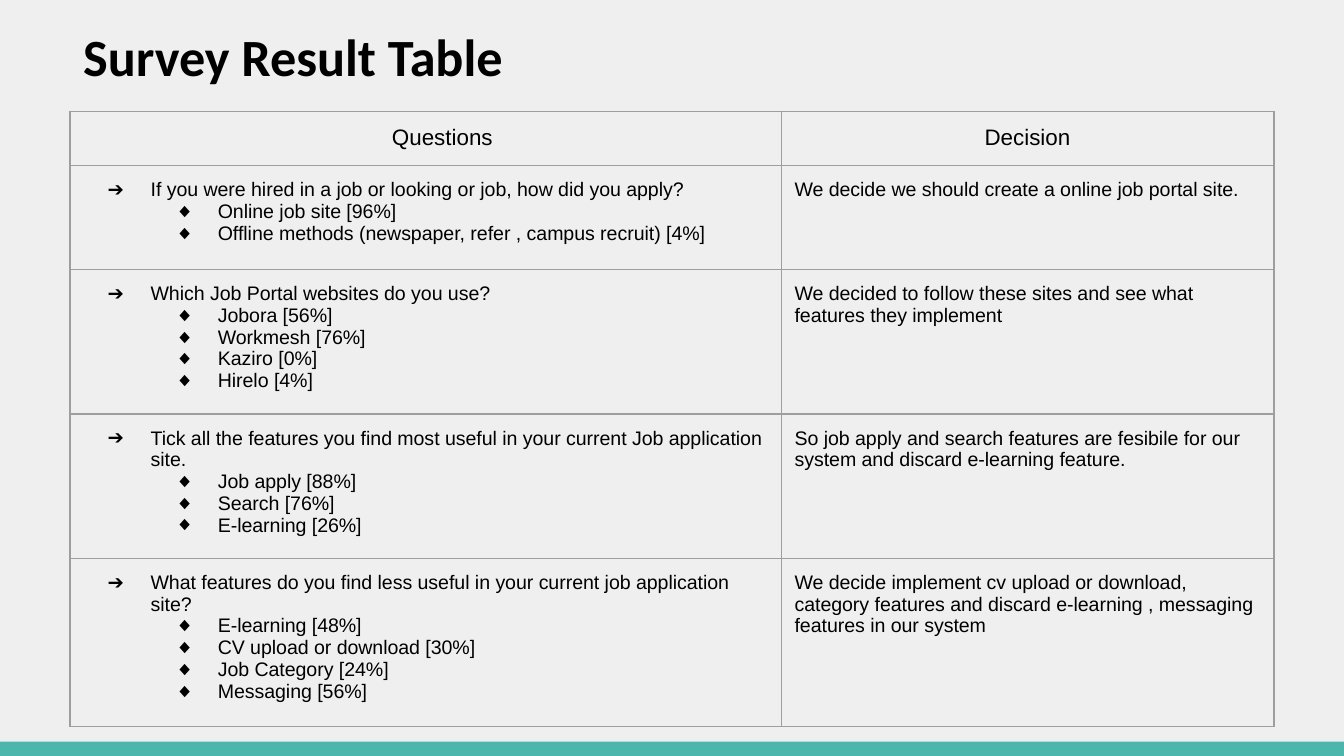
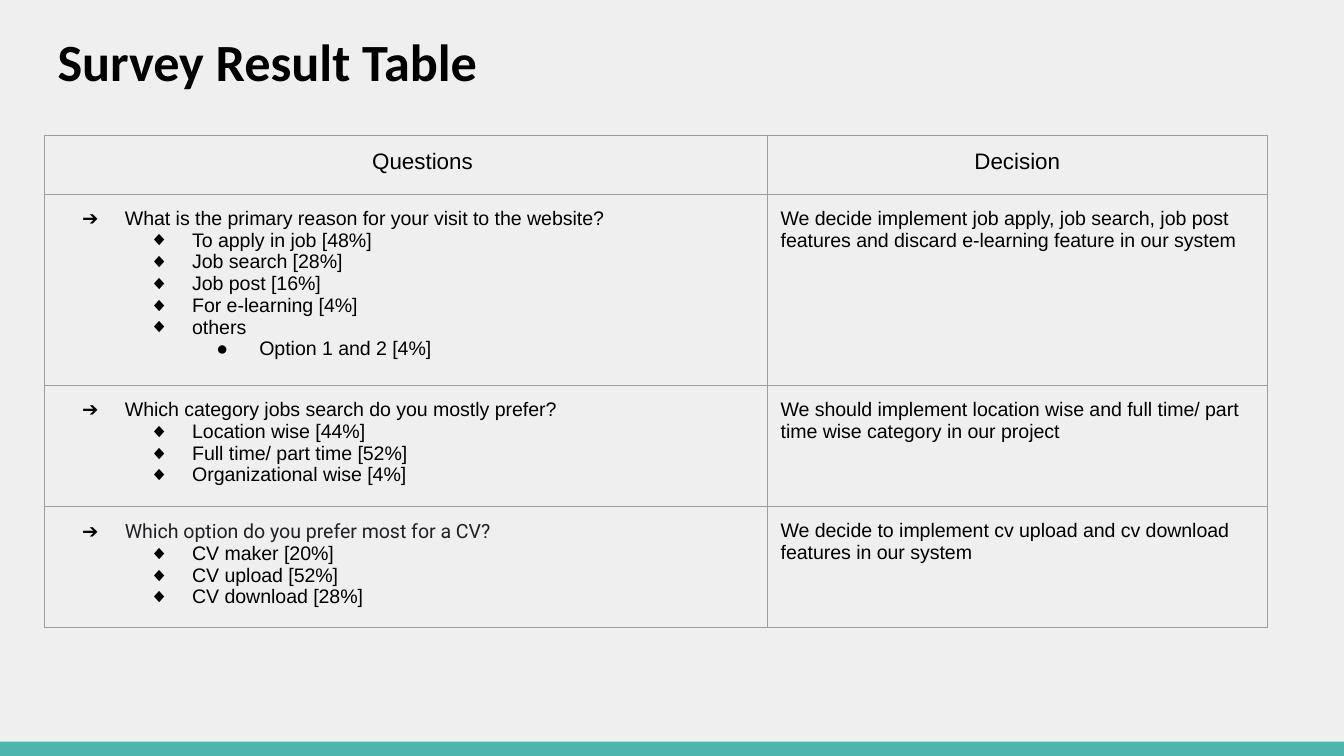
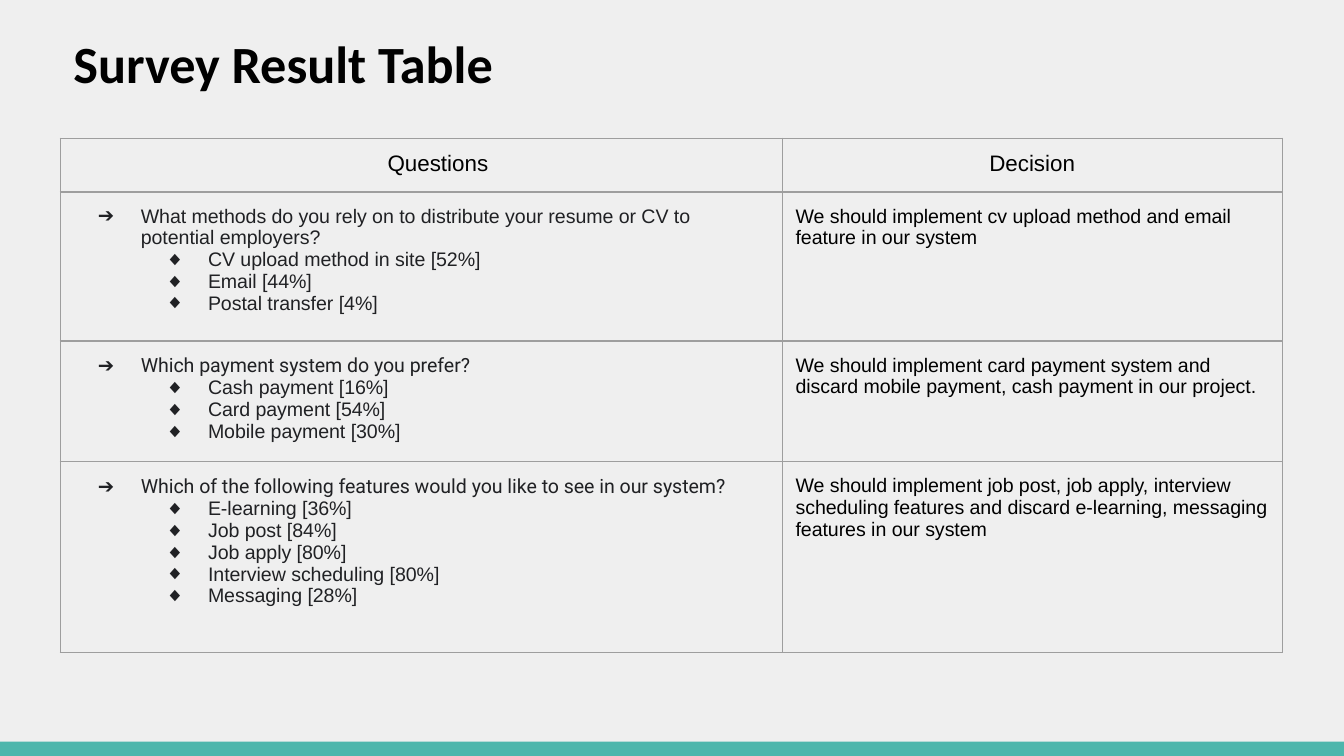
import lxml.etree
import pptx
import pptx.dml.color
import pptx.enum.shapes
import pptx.enum.text
import pptx.oxml.ns
import pptx.util

Pt = pptx.util.Pt
qn = pptx.oxml.ns.qn
CENTER = pptx.enum.text.PP_ALIGN.CENTER
RECT = pptx.enum.shapes.MSO_SHAPE.RECTANGLE

WIDE, HIGH, BAND = 720, 405, 7.75
PAPER, TEAL, RULE, BLACK, GREY = "EFEFEF", "4DB6AC", "9E9E9E", "000000", "202124"
MARKS = "➔◆●"
INSETS = {"margin_" + side: Pt(7.2) for side in ("left", "top", "right", "bottom")}


def rgb(code):
    return pptx.dml.color.RGBColor.from_string(code)


def write(para, text, size, face="Arial", ink=BLACK, bold=False):
    run = para.add_run()
    run.text = text
    look = {"size": Pt(size), "name": face, "bold": bold}
    for key, value in look.items():
        setattr(run.font, key, value)
    run.font.color.rgb = rgb(ink)


# Each row: height, question face, ink, lines (one ">" per level), decision
pages = [
    {"left": 37.5, "title": 5.75, "top": 59.75, "cols": (381, 264), "head": 29, "rows": [
        (55.7, "Arial", BLACK,
         ["If you were hired in a job or looking or job, how did you apply?",
          ">Online job site [96%]",
          ">Offline methods (newspaper, refer , campus recruit) [4%]"],
         "We decide we should create a online job portal site."),
        (77.2, "Arial", BLACK,
         ["Which Job Portal websites do you use?",
          ">Jobora [56%]", ">Workmesh [76%]", ">Kaziro [0%]", ">Hirelo [4%]"],
         "We decided to follow these sites and see what features they implement"),
        (77.2, "Arial", BLACK,
         ["Tick all the features you find most useful in your current Job application site.",
          ">Job apply [88%]", ">Search [76%]", ">E-learning [26%]"],
         "So job apply and search features are fesibile for our system and discard "
         "e-learning feature."),
        (90, "Arial", BLACK,
         ["What features do you find less useful in your current job application site?",
          ">E-learning [48%]", ">CV upload or download [30%]",
          ">Job Category [24%]", ">Messaging [56%]"],
         "We decide implement cv upload or download, category features and discard "
         "e-learning , messaging features in our system"),
    ]},
    {"left": 23.75, "title": 8.5, "top": 72.75, "cols": (387.25, 268), "head": 31.3, "rows": [
        (102.3, "Arial", BLACK,
         ["What is the primary reason for your visit to the website?",
          ">To apply in job [48%]", ">Job search [28%]", ">Job post [16%]",
          ">For e-learning [4%]", ">others", ">>Option 1 and 2 [4%]"],
         "We decide implement job apply, job search, job post features and discard "
         "e-learning feature in our system"),
        (64.8, "Arial", BLACK,
         ["Which category jobs search do you mostly prefer?",
          ">Location wise [44%]", ">Full time/ part time [52%]",
          ">Organizational wise [4%]"],
         "We should implement location wise and full time/ part time wise category "
         "in our project"),
        (64.8, "Roboto", BLACK,
         ["Which option do you prefer most for a CV?",
          ">CV maker [20%]", ">CV upload [52%]", ">CV download [28%]"],
         "We decide to implement cv upload and cv download features in our system"),
    ]},
    {"left": 32.25, "title": 9.75, "top": 74, "cols": (386.75, 268), "head": 28.7, "rows": [
        (79.8, "Arial", GREY,
         ["What methods do you rely on to distribute your resume or CV to "
          "potential employers?",
          ">CV upload method in site [52%]", ">Email [44%]", ">Postal transfer [4%]"],
         "We should implement cv upload method and email feature in our system"),
        (64.8, "Roboto", GREY,
         ["Which payment system do you prefer?",
          ">Cash payment [16%]", ">Card payment [54%]", ">Mobile payment [30%]"],
         "We should implement card payment system and discard mobile payment, "
         "cash payment in our project."),
        (102.3, "Roboto", GREY,
         ["Which of the following features would you like to see in our system?",
          ">E-learning [36%]", ">Job post [84%]", ">Job apply [80%]",
          ">Interview scheduling [80%]", ">Messaging [28%]"],
         "We should implement job post, job apply, interview scheduling features and "
         "discard e-learning, messaging features in our system"),
    ]},
]

deck = pptx.Presentation()
deck.slide_width, deck.slide_height = Pt(WIDE), Pt(HIGH)
back = deck.slide_master.background.fill
back.solid()
back.fore_color.rgb = rgb(PAPER)

for page in pages:
    slide = deck.slides.add_slide(deck.slide_layouts[6])
    left, cols, rows = page["left"], page["cols"], page["rows"]

    band = slide.shapes.add_shape(RECT, 0, Pt(HIGH - BAND), Pt(WIDE), Pt(BAND))
    band.shadow.inherit = False
    band.fill.solid()
    band.fill.fore_color.rgb = rgb(TEAL)
    band.line.fill.background()

    title = slide.shapes.add_textbox(Pt(left), Pt(page["title"]), Pt(sum(cols)), Pt(48.5))
    frame = title.text_frame
    frame.word_wrap = True
    for key, value in INSETS.items():
        setattr(frame, key, value)
    write(frame.paragraphs[0], "Survey Result Table", 28, "Calibri", bold=True)

    highs = [page["head"]] + [row[0] for row in rows]
    grid = slide.shapes.add_table(len(highs), 2, Pt(left), Pt(page["top"]),
                                  Pt(sum(cols)), Pt(sum(highs))).table
    grid.first_row = grid.horz_banding = False
    for col, width in zip(grid.columns, cols):
        col.width = Pt(width)
    for row, high in zip(grid.rows, highs):
        row.height = Pt(high)

    for cell in grid.iter_cells():
        for key, value in INSETS.items():
            setattr(cell, key, value)
        props = cell._tc.get_or_add_tcPr()
        for edge in ("lnL", "lnR", "lnT", "lnB"):
            line = lxml.etree.SubElement(props, qn("a:" + edge), w=str(Pt(0.75)))
            fill = lxml.etree.SubElement(line, qn("a:solidFill"))
            lxml.etree.SubElement(fill, qn("a:srgbClr"), val=RULE)
        cell.fill.background()

    for n, head in enumerate(("Questions", "Decision")):
        para = grid.cell(0, n).text_frame.paragraphs[0]
        para.alignment = CENTER
        write(para, head, 12)
    props = grid.cell(0, 0).text_frame.paragraphs[0]._p.get_or_add_pPr()
    props.set("marL", str(Pt(36)))
    props.set("indent", str(Pt(-18)))

    for n, (high, face, ink, lines, choice) in enumerate(rows, 1):
        frame = grid.cell(n, 0).text_frame
        for k, text in enumerate(lines):
            para = frame.add_paragraph() if k else frame.paragraphs[0]
            level = text.count(">")
            para.level = level
            props = para._p.get_or_add_pPr()
            props.set("marL", str(Pt(36 * (level + 1))))
            props.set("indent", str(Pt(-23)))
            tint = lxml.etree.SubElement(props, qn("a:buClr"))
            lxml.etree.SubElement(tint, qn("a:srgbClr"), val=ink)
            lxml.etree.SubElement(props, qn("a:buFont"), typeface="Arial")
            lxml.etree.SubElement(props, qn("a:buChar"), char=MARKS[level])
            write(para, text.lstrip(">"), 10.5, "Arial" if level else face,
                  GREY if face == "Roboto" and not level else ink)
        write(grid.cell(n, 1).text_frame.paragraphs[0], choice, 10.5)

deck.save("out.pptx")
